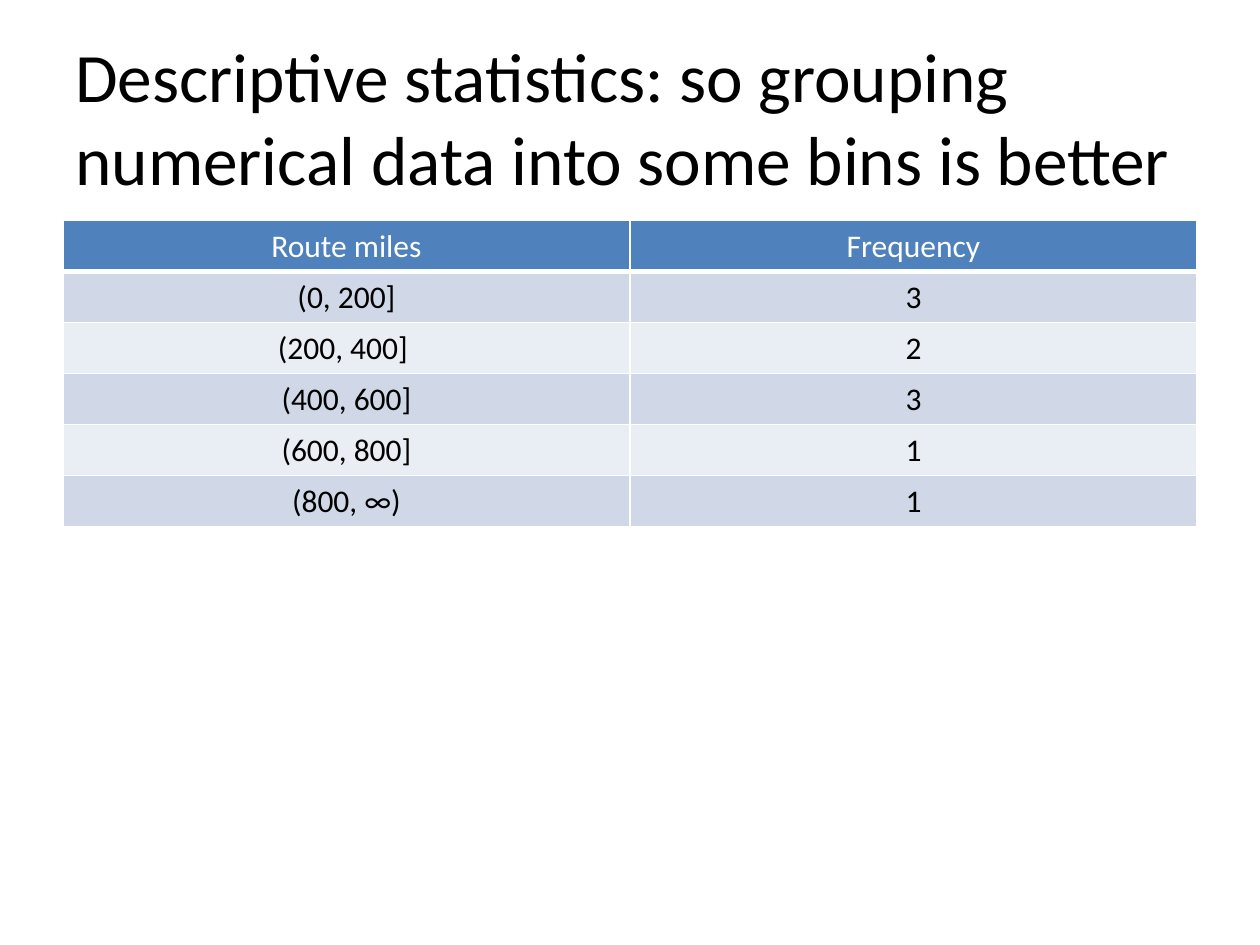
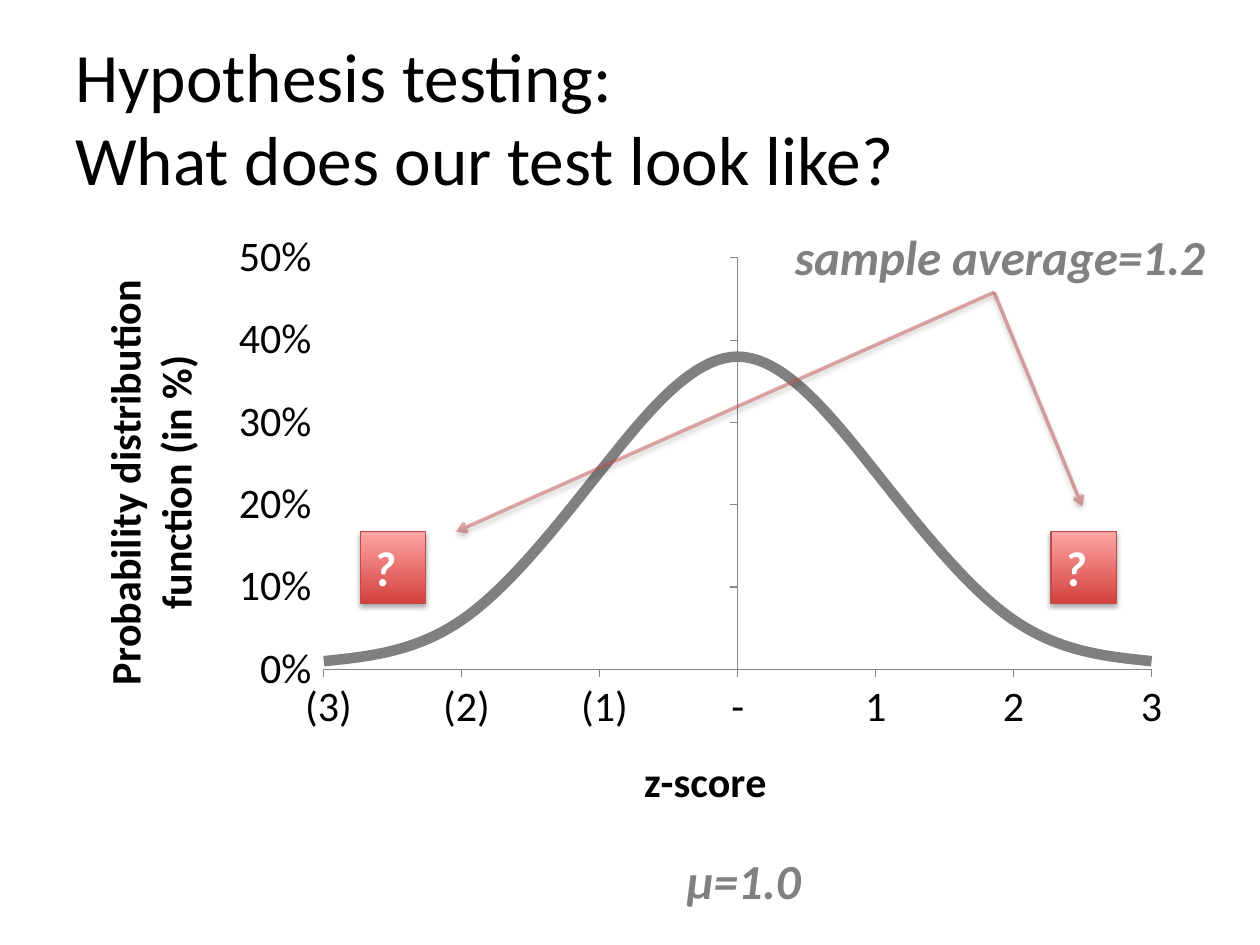
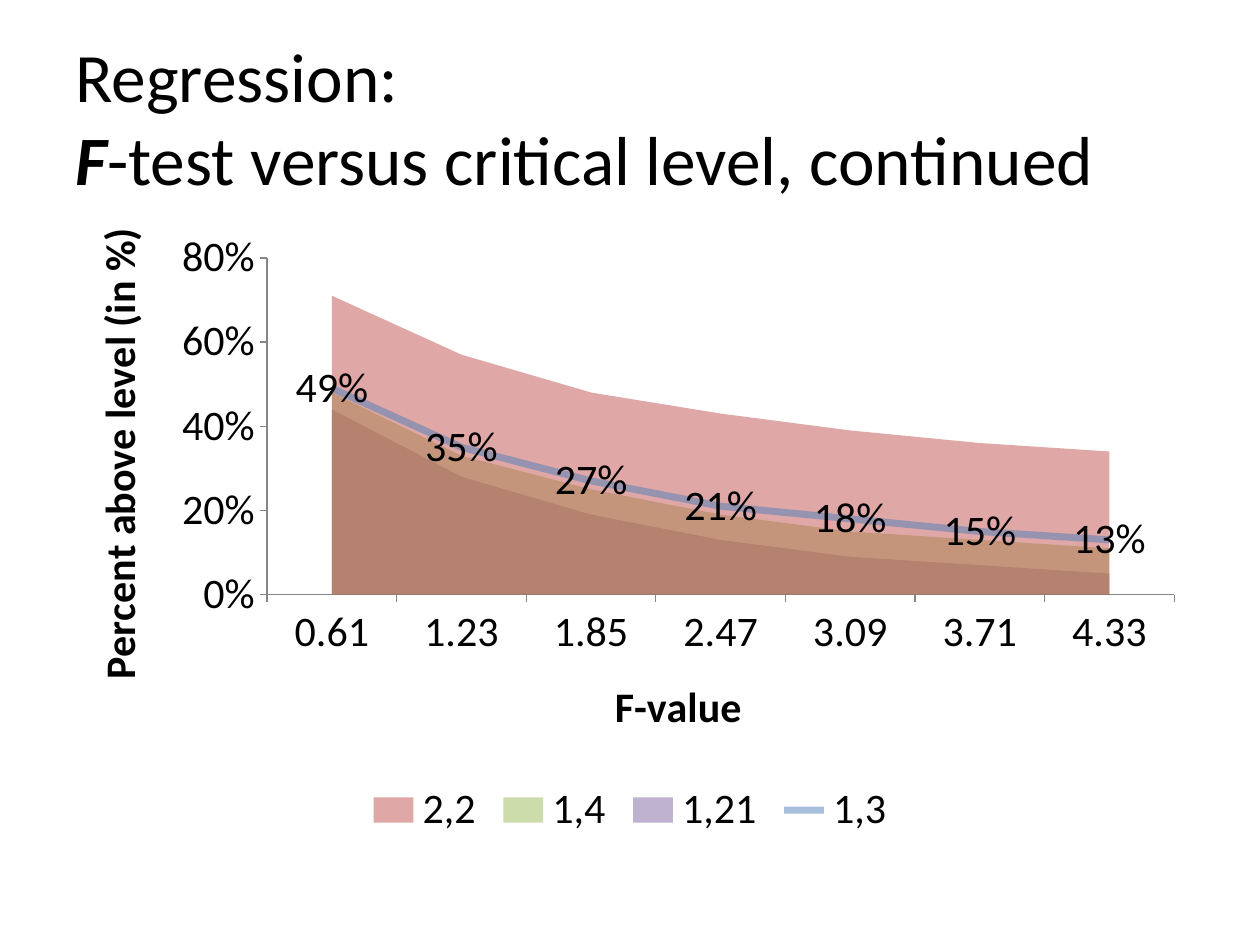
from dataclasses import dataclass

from pptx import Presentation
from pptx import util as u
from pptx.chart import data as chart_data
from pptx.dml import color
from pptx.enum import chart as ce
from pptx.enum import shapes, text
from pptx.oxml import ns, xmlchemy


# Theme and grid
@dataclass(frozen=True)
class Theme:
    font: str = "Calibri"
    black: str = "000000"
    white: str = "FFFFFF"
    grey: str = "808080"
    axis: str = "868686"
    blue: str = "4F81BD"
    red: str = "C0504D"
    green: str = "9BBB59"
    purple: str = "8064A2"
    bands: tuple[str, str] = ("D0D8E8", "E9EDF4")
    badge_bottom: str = "D1403C"
    badge_top: str = "FFA6A5"
    badge_line: str = "BF4C48"
    title_size: float = 39.6
    label_size: float = 28
    chart_size: float = 24
    table_size: float = 18


THEME = Theme()
WIDTH, HEIGHT = u.Inches(10), u.Inches(7.5)
COLUMNS, ROWS = 100, 75


def across(columns: float) -> int:
    return round(WIDTH * columns / COLUMNS)


def down(rows: float) -> int:
    return round(HEIGHT * rows / ROWS)


@dataclass(frozen=True)
class Frame:
    """A rectangle in grid columns and rows."""
    left: float
    top: float
    width: float
    height: float

    def place(self) -> tuple[int, int, int, int]:
        return across(self.left), down(self.top), across(self.width), down(self.height)


@dataclass(frozen=True)
class Span:
    words: str
    strong: bool = False


@dataclass(frozen=True)
class Label:
    words: str
    frame: Frame
    badge: bool = False


@dataclass(frozen=True)
class Arrow:
    start: tuple[float, float]
    end: tuple[float, float]


@dataclass(frozen=True)
class Plot:
    """Inner plot area as shares of the chart."""
    x: float
    y: float
    w: float
    h: float


@dataclass(frozen=True)
class Series:
    name: str
    values: tuple[float, ...]
    colour: str


TITLE = Frame(5, 3, 90, 12.5)
BODY = Frame(5, 17.5, 90, 49.5)


# Shared helpers
def rgb(value: str) -> color.RGBColor:
    return color.RGBColor.from_string(value)


def style(font, size: float, colour: str, strong: bool = False, italic: bool = False) -> None:
    font.name, font.size = THEME.font, u.Pt(size)
    font.bold, font.italic = strong, italic
    font.color.rgb = rgb(colour)


def element(tag: str, **attributes):
    node = xmlchemy.OxmlElement(tag)
    for name, value in attributes.items():
        node.set(name, str(value))
    return node


def child(parent, tag: str, **attributes):
    node = element(tag, **attributes)
    parent.append(node)
    return node


def make_transparent(fill, percent: int = 50) -> None:
    """Give a solid fill or line colour an opacity."""
    for node in list(fill.iter(ns.qn("a:srgbClr"))):
        child(node, "a:alpha", val=percent * 1000)


def add_shadow(properties, distance: float = 1.8, opacity: int = 35):
    effects = child(properties, "a:effectLst")
    shadow = child(effects, "a:outerShdw", blurRad=u.Pt(3.1), dist=u.Pt(distance),
                   dir=5400000, rotWithShape=0)
    child(child(shadow, "a:srgbClr", val=THEME.black), "a:alpha", val=opacity * 1000)
    return effects


def add_title(page, *lines: tuple[Span, ...]) -> None:
    frame = page.shapes.add_textbox(*TITLE.place()).text_frame
    frame.word_wrap = True
    frame.vertical_anchor = text.MSO_ANCHOR.MIDDLE
    para = frame.paragraphs[0]
    for index, line in enumerate(lines):
        if index:
            para.add_line_break()
        for span in line:
            run = para.add_run()
            run.text = span.words
            style(run.font, THEME.title_size, THEME.black, span.strong, span.strong)


# Table
def add_border(cell, side: str, points: float) -> None:
    line = element(f"a:{side}", w=u.Pt(points))
    child(child(line, "a:solidFill"), "a:srgbClr", val=THEME.white)
    properties = cell._tc.get_or_add_tcPr()
    properties.insert(len(properties) - 1, line)


def add_frequency_table(page, records: tuple[tuple[str, str], ...]) -> None:
    area = Frame(BODY.left, BODY.top, BODY.width, 24.3)
    table = page.shapes.add_table(len(records), len(records[0]), *area.place()).table
    table.horz_banding = False
    for row, record in enumerate(records):
        header = row == 0
        for column, words in enumerate(record):
            cell = table.cell(row, column)
            cell.text = words
            cell.vertical_anchor = text.MSO_ANCHOR.MIDDLE
            cell.margin_left = cell.margin_right = cell.margin_top = u.Inches(0.01)
            cell.margin_bottom = 0
            para = cell.text_frame.paragraphs[0]
            para.alignment = text.PP_ALIGN.CENTER
            style(para.runs[0].font, THEME.table_size, THEME.white if header else THEME.black)
            cell.fill.solid()
            cell.fill.fore_color.rgb = rgb(THEME.blue if header else THEME.bands[(row - 1) % 2])
            for side in ("lnL", "lnR", "lnT", "lnB"):
                thick = (header and side == "lnB") or (row == 1 and side == "lnT")
                add_border(cell, side, 3 if thick else 1)


# Charts
def set_layout(chart, plot: Plot) -> None:
    area = chart._chartSpace.chart.plotArea
    for old in area.findall(ns.qn("c:layout")):
        area.remove(old)
    layout = element("c:layout")
    area.insert(0, layout)
    manual = child(layout, "c:manualLayout")
    child(manual, "c:layoutTarget", val="inner")
    for key in ("xMode", "yMode"):
        child(manual, f"c:{key}", val="edge")
    for key in ("x", "y", "w", "h"):
        child(manual, f"c:{key}", val=getattr(plot, key))


def style_axis(axis, title: str, number_format: str | None = None, upright: bool = False) -> None:
    axis.has_major_gridlines = False
    axis.major_tick_mark = ce.XL_TICK_MARK.OUTSIDE
    axis.minor_tick_mark = ce.XL_TICK_MARK.NONE
    axis.format.line.color.rgb = rgb(THEME.axis)
    axis.format.line.width = u.Pt(0.75)
    if number_format:
        axis.tick_labels.number_format = number_format
        axis.tick_labels.number_format_is_linked = False
    frame = axis.axis_title.text_frame
    frame.text = title
    style(frame.paragraphs[0].runs[0].font, THEME.chart_size, THEME.black, strong=True)
    if upright:
        body = frame._txBody.find(ns.qn("a:bodyPr"))
        body.set("rot", "-5400000")
        body.set("vert", "horz")


def set_scale(axis, low: float, high: float, step: float) -> None:
    axis.minimum_scale, axis.maximum_scale, axis.major_unit = low, high, step


def add_chart(page, kind, data, plot: Plot):
    chart = page.shapes.add_chart(kind, *BODY.place(), data).chart
    style(chart.font, THEME.chart_size, THEME.black)
    chart.has_title = chart.has_legend = False
    chart.plots[0].vary_by_categories = False
    set_layout(chart, plot)
    return chart


def add_bell_curve(page) -> None:
    data = chart_data.XyChartData()
    points = data.add_series("Series 1")
    for score, share in zip(range(-3, 4), (0.01, 0.06, 0.24, 0.38, 0.24, 0.06, 0.01)):
        points.add_data_point(score, share)
    chart = add_chart(page, ce.XL_CHART_TYPE.XY_SCATTER_SMOOTH_NO_MARKERS, data,
                      Plot(0.23, 0.06, 0.73, 0.66))
    style_axis(chart.category_axis, "z-score", '_(* #,##0_);_(* \\(#,##0\\);_(* "-"_);_(@_)')
    style_axis(chart.value_axis, "Probability distribution function (in %)", "0%", upright=True)
    set_scale(chart.category_axis, -3, 3, 1)
    set_scale(chart.value_axis, 0, 0.5, 0.1)
    chart.value_axis.tick_label_position = ce.XL_TICK_LABEL_POSITION.LOW
    curve = chart.plots[0].series[0]
    curve.marker.style = ce.XL_MARKER_STYLE.NONE
    curve.format.line.color.rgb = rgb(THEME.grey)
    curve.format.line.width = u.Pt(6)
    curve._element.get_or_add_smooth().val = True


def move_last_series_to_line(chart):
    """Turn the last area series into a line on the same axes."""
    area = chart.plots[0]._element
    line = element("c:lineChart")
    area.addnext(line)
    child(line, "c:grouping", val="standard")
    child(line, "c:varyColors", val=0)
    line.append(area.findall(ns.qn("c:ser"))[-1])
    child(line, "c:marker", val=1)
    for axis in area.findall(ns.qn("c:axId")):
        child(line, "c:axId", val=axis.get("val"))
    return chart.plots[1].series[0]


def add_level_chart(page, categories: tuple[str, ...], levels: tuple[Series, ...]) -> None:
    data = chart_data.CategoryChartData(number_format="0%")
    data.categories = categories
    for level in levels:
        data.add_series(level.name, level.values)
    chart = add_chart(page, ce.XL_CHART_TYPE.AREA, data, Plot(0.18, 0.06, 0.8, 0.54))
    style_axis(chart.category_axis, "F-value")
    style_axis(chart.value_axis, "Percent above level (in %)", "0%", upright=True)
    set_scale(chart.value_axis, 0, 0.8, 0.2)
    chart.value_axis._element.find(ns.qn("c:crossBetween")).set("val", "between")
    chart.has_legend = True
    chart.legend.position = ce.XL_LEGEND_POSITION.BOTTOM
    chart.legend.include_in_layout = False

    line = move_last_series_to_line(chart)
    for series, level in zip(chart.plots[0].series, levels):
        series.format.fill.solid()
        series.format.fill.fore_color.rgb = rgb(level.colour)
        make_transparent(series._element.spPr)
    line.format.line.color.rgb = rgb(levels[-1].colour)
    line.format.line.width = u.Pt(4)
    make_transparent(line._element.spPr)
    line.marker.style = ce.XL_MARKER_STYLE.NONE
    line.smooth = False
    labels = line.data_labels
    labels.show_value = True
    labels.number_format, labels.number_format_is_linked = "0%", False
    labels.position = ce.XL_LABEL_POSITION.CENTER
    style(labels.font, THEME.chart_size, THEME.black)


# Labels and arrows
def add_label(page, label: Label) -> None:
    if label.badge:
        box = page.shapes.add_shape(shapes.MSO_SHAPE.RECTANGLE, *label.frame.place())
        box.fill.gradient()
        box.fill.gradient_angle = 90
        for stop, place, tint in zip(box.fill.gradient_stops, (0, 1),
                                     (THEME.badge_bottom, THEME.badge_top)):
            stop.position, stop.color.rgb = place, rgb(tint)
        box.line.color.rgb = rgb(THEME.badge_line)
        box.line.width = u.Pt(0.75)
        add_shadow(box._element.spPr)
    else:
        box = page.shapes.add_textbox(*label.frame.place())
    frame = box.text_frame
    frame.text = label.words
    frame.word_wrap = False
    frame.auto_size = text.MSO_AUTO_SIZE.SHAPE_TO_FIT_TEXT
    frame.vertical_anchor = text.MSO_ANCHOR.TOP
    para = frame.paragraphs[0]
    para.alignment = text.PP_ALIGN.LEFT
    run = para.runs[0]
    style(run.font, THEME.label_size, THEME.white if label.badge else THEME.grey, True, True)
    if not label.badge:
        properties = run._r.get_or_add_rPr()
        properties.find(ns.qn("a:solidFill")).addnext(add_shadow(properties))


def add_arrow(page, arrow: Arrow) -> None:
    (x1, y1), (x2, y2) = arrow.start, arrow.end
    line = page.shapes.add_connector(shapes.MSO_CONNECTOR.STRAIGHT,
                                     across(x1), down(y1), across(x2), down(y2))
    line.line.color.rgb = rgb(THEME.red)
    line.line.width = u.Pt(2)
    properties = line._element.spPr
    make_transparent(properties)
    child(properties.find(ns.qn("a:ln")), "a:tailEnd", type="arrow")
    add_shadow(properties, distance=1.6, opacity=38)


# Slides
FREQUENCIES = (
    ("Route miles", "Frequency"),
    ("(0, 200]", "3"),
    ("(200, 400] ", "2"),
    ("(400, 600]", "3"),
    ("(600, 800]", "1"),
    ("(800, ∞)", "1"),
)
LABELS = (
    Label("μ=1.0", Frame(53.5, 67, 11.1, 5.7)),
    Label("sample average=1.2", Frame(62.1, 17.5, 35, 5.7)),
    Label("?", Frame(83.4, 42.2, 5.2, 5.7), badge=True),
    Label("?", Frame(28.6, 42.2, 5.2, 5.7), badge=True),
)
AVERAGE_POINT = (78.9, 23.2)
ARROWS = (Arrow(AVERAGE_POINT, (85.9, 40.2)), Arrow(AVERAGE_POINT, (36.2, 42.2)))
F_VALUES = tuple(f"{0.61 + 0.62 * step:.2f}" for step in range(7))
LEVELS = (
    Series("2,2", (0.71, 0.57, 0.48, 0.43, 0.39, 0.36, 0.34), THEME.red),
    Series("1,4", (0.48, 0.33, 0.25, 0.19, 0.15, 0.13, 0.11), THEME.green),
    Series("1,21", (0.44, 0.28, 0.19, 0.13, 0.09, 0.07, 0.05), THEME.purple),
    Series("1,3", (0.49, 0.35, 0.27, 0.21, 0.18, 0.15, 0.13), THEME.blue),
)


def main() -> None:
    deck = Presentation()
    deck.slide_width, deck.slide_height = WIDTH, HEIGHT
    grouping, testing, regression = (deck.slides.add_slide(deck.slide_layouts[6])
                                     for _ in range(3))

    add_title(grouping, (Span("Descriptive statistics: so grouping numerical data "
                              "into some bins is better"),))
    add_frequency_table(grouping, FREQUENCIES)

    add_title(testing, (Span("Hypothesis testing:"),), (Span("What does our test look like?"),))
    add_bell_curve(testing)
    for label in LABELS:
        add_label(testing, label)
    for arrow in ARROWS:
        add_arrow(testing, arrow)

    add_title(regression, (Span("Regression:"),),
              (Span("F", strong=True), Span("-test versus critical level, continued")))
    add_level_chart(regression, F_VALUES, LEVELS)

    deck.save("out.pptx")


if __name__ == "__main__":
    main()
